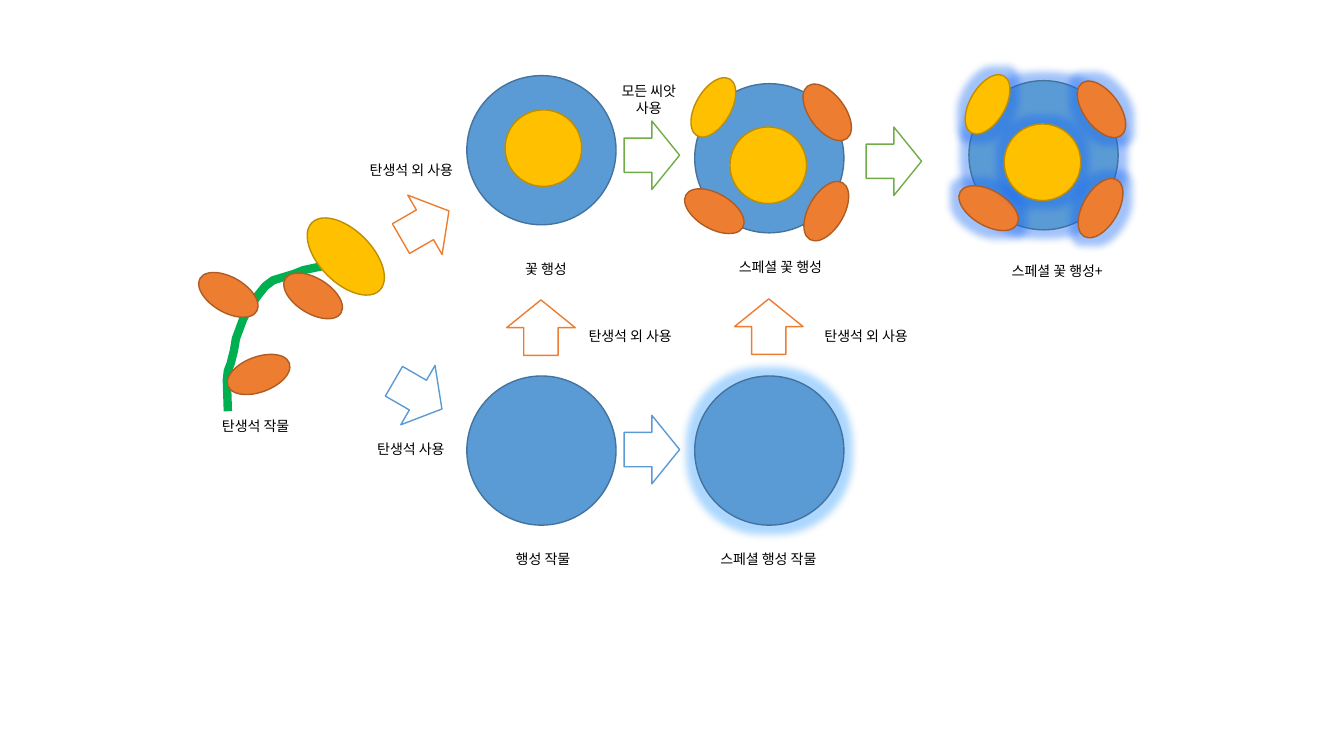
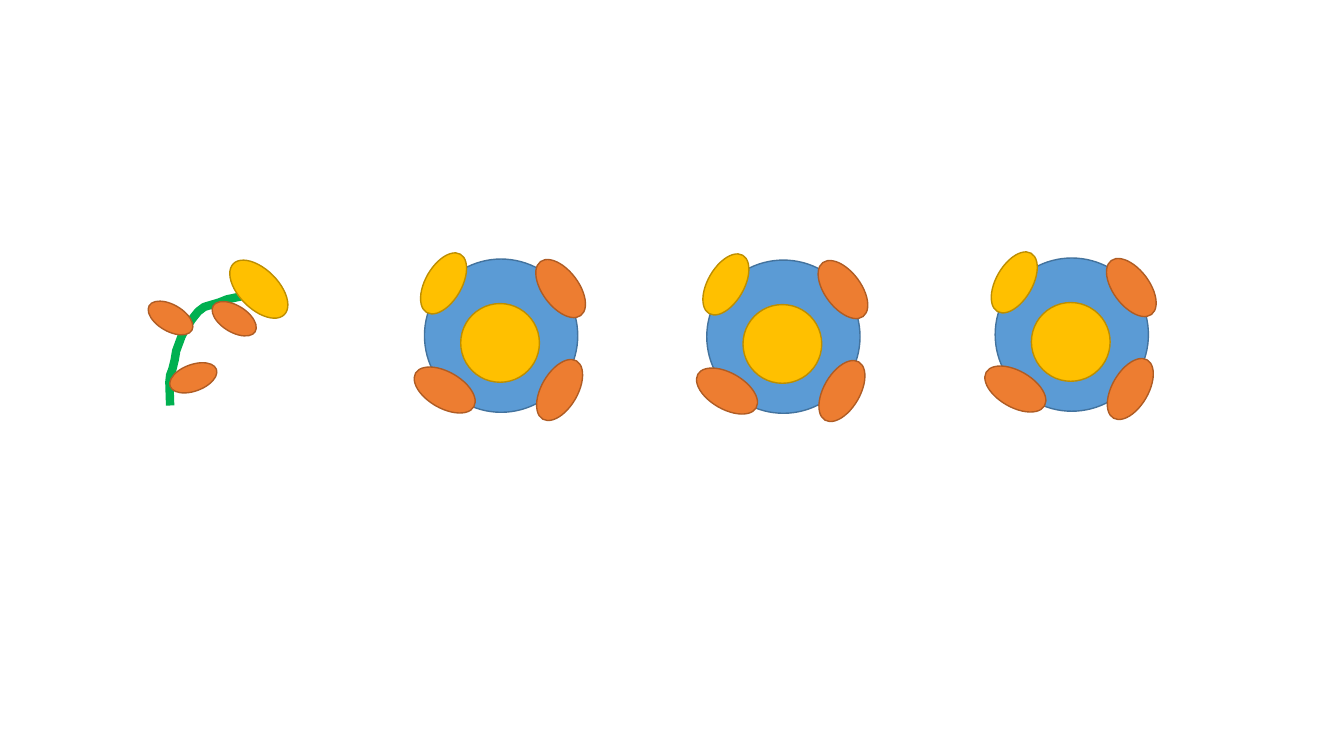
from lxml.etree import SubElement
from pptx import Presentation
from pptx.dml.color import RGBColor
from pptx.enum.shapes import MSO_SHAPE as SHAPE
from pptx.enum.text import MSO_AUTO_SIZE as AUTO, PP_ALIGN as ALIGN
from pptx.oxml.ns import qn
from pptx.util import Emu, Pt

PX = 9144
FONT = "Noto Sans CJK KR"
BLACK, WHITE, STEM, GREEN = "000000", "FFFFFF", "00B050", "70AD47"
BLUE, ORANGE, YELLOW = "5B9BD5", "ED7D31", "FFC000"
OUTLINE = {BLUE: "43739E", ORANGE: "AF5C24", YELLOW: "BD8E00"}
SKY_GLOW, DEEP_GLOW = "319DFF", "1466F4"
TEXT_FORMAT = {"size": Pt(10), "name": FONT}

PLANET_SIZE, CORE_SIZE = 148, 76
PETAL_SIZE = (35, 65)
PETALS = [
    (114, -4, 323.2, ORANGE),
    (113, 94, 30, ORANGE),
    (2, 94, 120, ORANGE),
    (1, -9, 210, YELLOW),
]
VINE_WIDTH = 121
VINE_POINTS = [
    (122, 0), (103, 1), (95, 4), (76, 8), (66, 12), (46, 18), (38, 24),
    (30, 34), (20, 49), (16, 57), (9, 76), (8, 82), (7, 88), (4, 100),
    (1, 108), (0, 117), (1, 148),
]
LEAVES = [(68, 1, 121.8), (14, 79, 69.7), (-16, 0, 120)]

ARROWS = [
    (394, 189, 330, ORANGE),
    (619, 120, 0, GREEN),
    (859, 126, 0, GREEN),
    (387, 358, 30, BLUE),
    (619, 412, 0, BLUE),
    (509, 291, 270, ORANGE),
    (735, 290, 270, ORANGE),
]
LABELS = [
    ("탄생석 작물", 206, 409, 95),
    ("꽃 행성", 508, 254, 67),
    ("스페셜 꽃 행성", 717, 252, 114),
    ("스페셜 꽃 행성+", 984, 256, 129),
    ("행성 작물", 498, 541, 81),
    ("스페셜 행성 작물", 698, 541, 128),
    ("탄생석 사용", 360, 432, 95),
    ("탄생석 외 사용", 351, 155, 114),
    ("탄생석 외 사용", 568, 320, 114),
    ("탄생석 외 사용", 802, 320, 114),
    ("모든 씨앗\n사용", 603, 77, 81),
]


def px(n):
    return Emu(round(n * PX))


def rgb(value):
    return RGBColor.from_string(value)


def add_glow(s, color):
    effects = s._element.spPr.find(qn("a:effectLst"))
    glow = SubElement(effects, qn("a:glow"), rad=str(Pt(11)))
    clr = SubElement(glow, qn("a:srgbClr"), val=color)
    SubElement(clr, qn("a:alpha"), val="40000")


def add_preset(shapes, kind, box, fill, line, rotation=0, glow=None):
    s = shapes.add_shape(kind, *map(px, box))
    s.rotation = rotation
    s.shadow.inherit = False
    s.fill.solid()
    s.fill.fore_color.rgb = rgb(fill)
    s.line.color.rgb = rgb(line)
    s.line.width = Pt(1)
    if glow:
        add_glow(s, glow)


def add_ellipse(shapes, box, color, rotation=0, glow=None):
    add_preset(shapes, SHAPE.OVAL, box, color, OUTLINE[color], rotation, glow)


def add_planet(shapes, x, y, size=PLANET_SIZE, glow=None):
    add_ellipse(shapes, (x, y, size, size), BLUE, glow=glow)


def add_flower_planet(slide, x, y, size=PLANET_SIZE, glow=None):
    k = size / PLANET_SIZE
    shapes = slide.shapes.add_group_shape().shapes
    add_planet(shapes, x, y, size, glow)
    w, h = PETAL_SIZE
    for dx, dy, rotation, color in PETALS:
        box = (x + dx * k, y + dy * k, w * k, h * k)
        add_ellipse(shapes, box, color, rotation, glow)
    core = CORE_SIZE * k
    add_ellipse(shapes, (x + 35 * k, y + 43 * k, core, core), YELLOW, glow=glow)


def add_vine(slide, x, y, width=VINE_WIDTH):
    k = width / VINE_WIDTH
    shapes = slide.shapes.add_group_shape().shapes
    points = [(px(x + dx * k), px(y + dy * k)) for dx, dy in VINE_POINTS]
    builder = shapes.build_freeform(*points[0], scale=1.0)
    builder.add_line_segments(points[1:], close=False)
    stem = builder.convert_to_shape()
    stem.shadow.inherit = False
    stem.fill.background()
    stem.line.color.rgb = rgb(STEM)
    stem.line.width = Pt(6)
    add_ellipse(shapes, (x + 92 * k, y - 53 * k, 52 * k, 95 * k), YELLOW, 315)
    w, h = PETAL_SIZE
    for dx, dy, rotation in LEAVES:
        add_ellipse(shapes, (x + dx * k, y + dy * k, w * k, h * k), ORANGE, rotation)


def add_label(slide, text, x, y, width):
    height = 27 + 17 * text.count("\n")
    tf = slide.shapes.add_textbox(*map(px, (x, y, width, height))).text_frame
    tf.word_wrap = False
    tf.auto_size = AUTO.SHAPE_TO_FIT_TEXT
    p = tf.paragraphs[0]
    p.text = text
    p.alignment = ALIGN.CENTER
    for r in p.runs:
        for name, value in TEXT_FORMAT.items():
            setattr(r.font, name, value)
        r.font.color.rgb = rgb(BLACK)
        SubElement(r.font._element, qn("a:ea"), typeface=FONT)


def build_growth_slide(slide):
    add_vine(slide, 225, 260)
    add_planet(slide.shapes, 463, 75)
    add_ellipse(slide.shapes, (501, 109, CORE_SIZE, CORE_SIZE), YELLOW)
    add_flower_planet(slide, 689, 83)
    add_flower_planet(slide, 961, 80, glow=DEEP_GLOW)
    add_planet(slide.shapes, 463, 373)
    add_planet(slide.shapes, 689, 373, glow=SKY_GLOW)
    for x, y, rotation, color in ARROWS:
        add_preset(slide.shapes, SHAPE.RIGHT_ARROW, (x, y, 55, 68), WHITE, color, rotation)
    for label in LABELS:
        add_label(slide, *label)


def build_crops_slide(slide):
    add_vine(slide, 168, 291, 91)
    for x, y in ((421, 257), (701, 258), (987, 256)):
        add_flower_planet(slide, x, y, 152)


def main():
    prs = Presentation()
    prs.slide_width, prs.slide_height = px(1333), px(750)
    for build in (build_growth_slide, build_crops_slide):
        build(prs.slides.add_slide(prs.slide_layouts[6]))
    prs.save("out.pptx")


if __name__ == "__main__":
    main()
